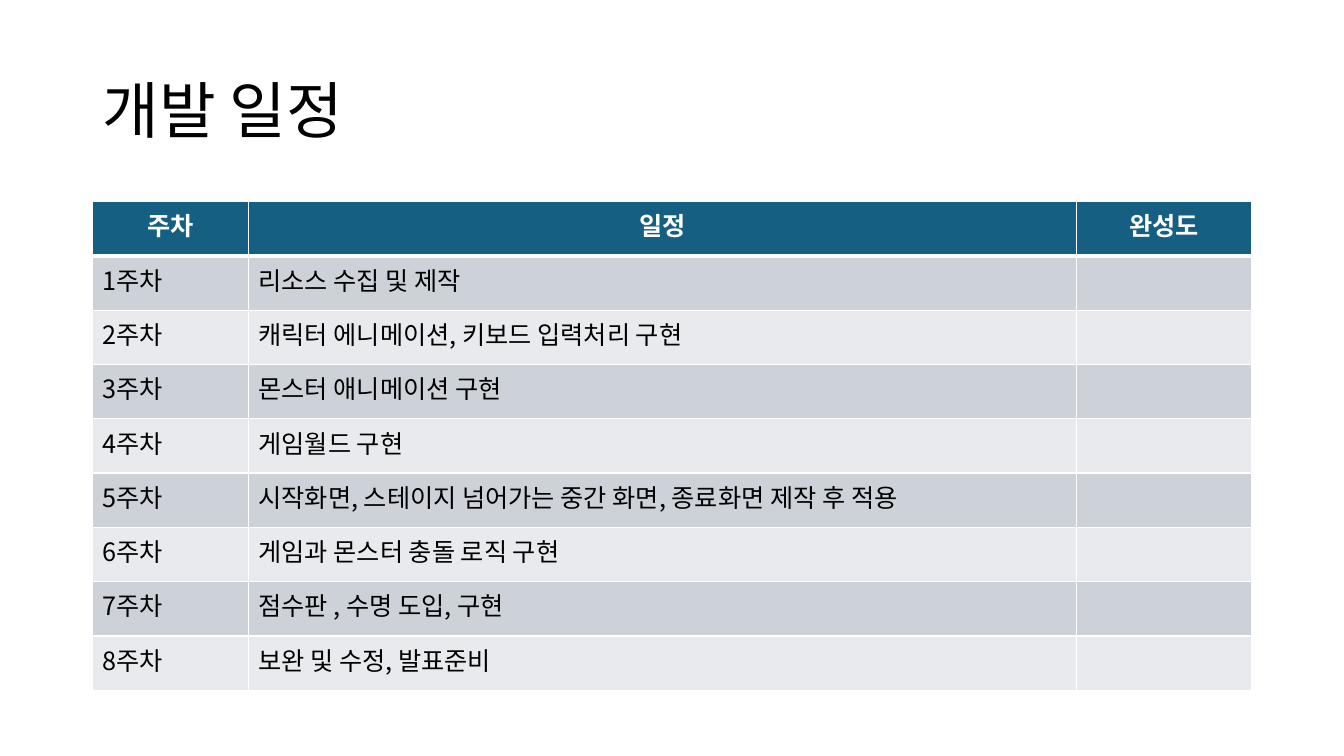
import pptx
import pptx.util
import pptx.dml.color
import pptx.enum.text
import pptx.oxml
import pptx.oxml.ns

COLORS = {
    "text": "000000",
    "white": "FFFFFF",
    "header": "156082",
    "odd": "CCD2D8",
    "even": "E8EAED",
}
FONT = "Noto Sans CJK KR"
SLIDE_WIDTH = pptx.util.Inches(13.33)
SLIDE_HEIGHT = pptx.util.Inches(7.5)
GRID_COLUMNS = 29
GRID_ROWS = 15
LEFT, WIDTH = 2, 25
COLUMN_SPANS = (3.36, 17.87, 3.77)
TABLE_TOP, TABLE_SPAN = 4, 9.7

HEADINGS = ("주차", "일정", "완성도")
TASKS = (
    "리소스 수집 및 제작",
    "캐릭터 에니메이션, 키보드 입력처리 구현",
    "몬스터 애니메이션 구현",
    "게임월드 구현",
    "시작화면, 스테이지 넘어가는 중간 화면, 종료화면 제작 후 적용",
    "게임과 몬스터 충돌 로직 구현",
    "점수판 , 수명 도입, 구현",
    "보완 및 수정, 발표준비",
)
TITLE_FORMAT = {"size": pptx.util.Pt(44), "bold": False, "name": FONT}
HEADER_FORMAT = {"size": pptx.util.Pt(18), "bold": True, "name": FONT}
BODY_FORMAT = {"size": pptx.util.Pt(18), "bold": False, "name": FONT}


def across(columns):
    return round(SLIDE_WIDTH * columns / GRID_COLUMNS)


def down(rows):
    return round(SLIDE_HEIGHT * rows / GRID_ROWS)


def color(name):
    return pptx.dml.color.RGBColor.from_string(COLORS[name])


def write(frame, text, font_format, color_name, **para_format):
    para = frame.paragraphs[0]
    for key, value in para_format.items():
        setattr(para, key, value)
    span = para.add_run()
    span.text = text
    for key, value in font_format.items():
        setattr(span.font, key, value)
    span.font.color.rgb = color(color_name)
    east_asian = pptx.oxml.parse_xml(
        f'<a:ea {pptx.oxml.ns.nsdecls("a")} typeface="{FONT}"/>'
    )
    span.font._element.append(east_asian)


def add_title(page, text):
    box = page.shapes.add_textbox(across(LEFT), down(0.8), across(WIDTH), down(2.9))
    frame = box.text_frame
    frame.word_wrap = True
    frame.vertical_anchor = pptx.enum.text.MSO_ANCHOR.MIDDLE
    write(frame, text, TITLE_FORMAT, "text", line_spacing=0.9)


def set_borders(cell, **points):
    properties = cell._tc.get_or_add_tcPr()
    for side in ("L", "R", "T", "B"):
        width = pptx.util.Pt(points.get(side, 1))
        properties.append(pptx.oxml.parse_xml(
            f'<a:ln{side} {pptx.oxml.ns.nsdecls("a")} w="{width}">'
            f'<a:solidFill><a:srgbClr val="{COLORS["white"]}"/></a:solidFill>'
            f'</a:ln{side}>'
        ))


def fill_cell(cell, color_name):
    cell.fill.solid()
    cell.fill.fore_color.rgb = color(color_name)


def add_schedule(page):
    row_count = len(TASKS) + 1
    table = page.shapes.add_table(
        row_count, len(HEADINGS),
        across(LEFT), down(TABLE_TOP), across(WIDTH), down(TABLE_SPAN),
    ).table
    for column, columns in zip(table.columns, COLUMN_SPANS):
        column.width = across(columns)
    for row in table.rows:
        row.height = down(TABLE_SPAN / row_count)
    for index, heading in enumerate(HEADINGS):
        cell = table.cell(0, index)
        set_borders(cell, B=3)
        fill_cell(cell, "header")
        write(cell.text_frame, heading, HEADER_FORMAT, "white",
              alignment=pptx.enum.text.PP_ALIGN.CENTER)
    for week, task in enumerate(TASKS, start=1):
        for index, text in enumerate((f"{week}주차", task, "")):
            cell = table.cell(week, index)
            set_borders(cell, T=3 if week == 1 else 1)
            fill_cell(cell, "odd" if week % 2 else "even")
            if text:
                write(cell.text_frame, text, BODY_FORMAT, "text")


def main():
    deck = pptx.Presentation()
    deck.slide_width, deck.slide_height = SLIDE_WIDTH, SLIDE_HEIGHT
    page = deck.slides.add_slide(deck.slide_layouts[6])
    add_title(page, "개발 일정")
    add_schedule(page)
    deck.save("out.pptx")


if __name__ == "__main__":
    main()
